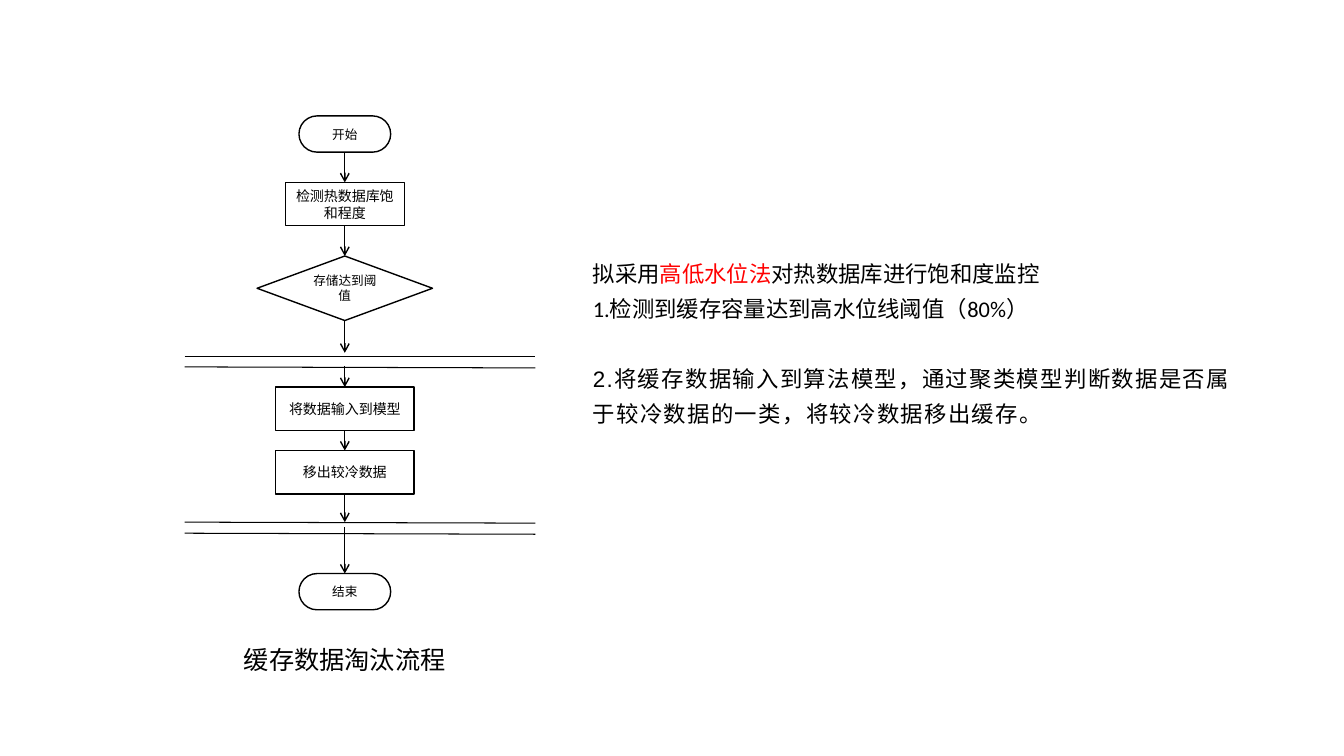
from dataclasses import dataclass
from typing import Optional

import pptx
import pptx.dml.color
import pptx.enum.shapes
import pptx.enum.text
import pptx.oxml.ns
import pptx.util
from lxml import etree

Inches = pptx.util.Inches
Pt = pptx.util.Pt
Kind = pptx.enum.shapes.MSO_SHAPE
Align = pptx.enum.text.PP_ALIGN
Anchor = pptx.enum.text.MSO_ANCHOR
qn = pptx.oxml.ns.qn

BLACK = pptx.dml.color.RGBColor(0x00, 0x00, 0x00)
RED = pptx.dml.color.RGBColor(0xFF, 0x00, 0x00)

MID = 3.42  # centre line of the flow
BAR_LEFT, BAR_RIGHT = 1.83, 5.31
TOP, BOTTOM = 0, 2


@dataclass
class Step:
    text: str
    kind: Kind
    top: float
    width: float
    height: float
    size: int


@dataclass
class Arrow:
    """A step index at an end joins that step; otherwise the height is used."""
    above: Optional[int] = None
    below: Optional[int] = None
    start: float = 0
    end: float = 0


STEPS = [
    Step("开始", Kind.ROUNDED_RECTANGLE, 1.15, 0.91, 0.36, 9),
    Step("检测热数据库饱和程度", Kind.RECTANGLE, 1.81, 1.18, 0.43, 10),
    Step("存储达到阈值", Kind.DIAMOND, 2.54, 1.74, 0.64, 9),
    Step("将数据输入到模型", Kind.RECTANGLE, 3.84, 1.37, 0.43, 10),
    Step("移出较冷数据", Kind.RECTANGLE, 4.47, 1.37, 0.43, 10),
    Step("结束", Kind.ROUNDED_RECTANGLE, 5.69, 0.91, 0.36, 9),
]
ARROWS = [
    Arrow(above=0, below=1),
    Arrow(above=1, below=2),
    Arrow(above=2, end=3.5),
    Arrow(start=3.63, below=3),
    Arrow(above=3, below=4),
    Arrow(above=4, end=5.18),
    Arrow(start=5.23, below=5),
]
BARS = [(3.54, 3.54), (3.64, 3.65), (5.18, 5.19), (5.29, 5.3)]


def add_run(para, text: str, *, size: float, font: str = "Calibri",
            color=BLACK, gap: float = 0) -> None:
    """Add a run; gap is the letter spacing in points."""
    run = para.add_run()
    run.text = text
    run.font.size = Pt(size)
    run.font.name = font
    run.font.color.rgb = color
    if gap:
        run.font._element.set("spc", str(round(gap * 100)))


def add_step(slide, step: Step):
    shape = slide.shapes.add_shape(
        step.kind, Inches(MID - step.width / 2), Inches(step.top),
        Inches(step.width), Inches(step.height))
    if step.kind == Kind.ROUNDED_RECTANGLE:
        shape.adjustments[0] = 0.5
    shape.shadow.inherit = False
    shape.fill.background()
    shape.line.color.rgb = BLACK
    shape.line.width = Pt(1)
    frame = shape.text_frame
    frame.word_wrap = True
    frame.vertical_anchor = Anchor.MIDDLE
    para = frame.paragraphs[0]
    para.alignment = Align.CENTER
    add_run(para, step.text, size=step.size)
    return shape


def add_line(slide, x1: float, y1: float, x2: float, y2: float,
             width: float, head: bool = False):
    line = slide.shapes.add_connector(
        pptx.enum.shapes.MSO_CONNECTOR.STRAIGHT,
        Inches(x1), Inches(y1), Inches(x2), Inches(y2))
    line.line.color.rgb = BLACK
    line.line.width = Pt(width)
    props = line._element.spPr
    if head:
        etree.SubElement(props.find(qn("a:ln")), qn("a:tailEnd"), type="arrow")
    etree.SubElement(props, qn("a:effectLst"))
    return line


def add_arrow(slide, arrow: Arrow, shapes: list) -> None:
    line = add_line(slide, MID, arrow.start, MID, arrow.end, 1, head=True)
    if arrow.above is not None:
        line.begin_connect(shapes[arrow.above], BOTTOM)
    if arrow.below is not None:
        line.end_connect(shapes[arrow.below], TOP)


def add_box(slide, left: float, top: float, width: float, height: float):
    box = slide.shapes.add_textbox(
        Inches(left), Inches(top), Inches(width), Inches(height))
    frame = box.text_frame
    frame.word_wrap = True
    frame.auto_size = pptx.enum.text.MSO_AUTO_SIZE.SHAPE_TO_FIT_TEXT
    return frame


def add_notes(slide) -> None:
    """Add the explanation to the right of the flow."""
    frame = add_box(slide, 5.68, 2.3, 6.79, 2.49)
    frame.margin_left = frame.margin_right = Inches(0.2)
    frame.margin_top = frame.margin_bottom = Inches(0.2)
    intro = frame.paragraphs[0]
    first, second = frame.add_paragraph(), frame.add_paragraph()
    for para in (intro, first, second):
        para.line_spacing = 1.3
    second.space_before = Pt(25)
    add_run(intro, "拟采用", size=16)
    add_run(intro, "高低水位法", size=16, color=RED)
    add_run(intro, "对热数据库进行饱和度监控", size=16)
    add_run(first, "1.检测到缓存容量达到高水位线阈值（80%）", size=16)
    add_run(second, "2.将缓存数据输入到算法模型，通过聚类模型判断数据是否属于"
            "较冷数据的一类，将较冷数据移出缓存。", size=16, font="Arial", gap=1)


def main() -> None:
    deck = pptx.Presentation()
    deck.slide_width, deck.slide_height = Inches(13.33), Inches(7.5)
    slide = deck.slides.add_slide(deck.slide_layouts[6])
    shapes = [add_step(slide, step) for step in STEPS]
    for start, end in BARS:
        add_line(slide, BAR_LEFT, start, BAR_RIGHT, end, 0.75)
    for arrow in ARROWS:
        add_arrow(slide, arrow, shapes)
    caption = add_box(slide, 2.32, 6.34, 2.33, 0.4)
    add_run(caption.paragraphs[0], "缓存数据淘汰流程", size=18)
    add_notes(slide)
    deck.save("out.pptx")


if __name__ == "__main__":
    main()
